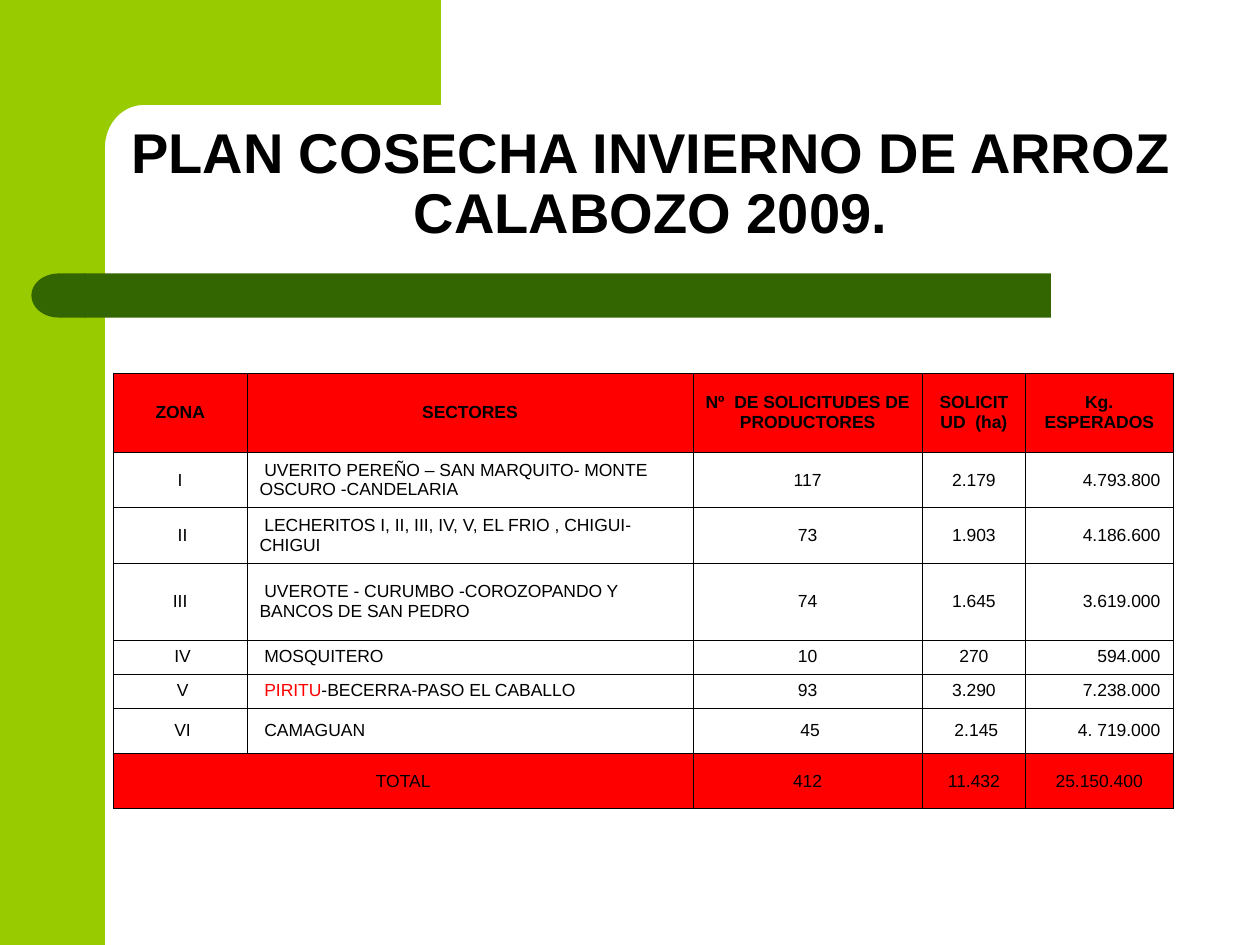
from math import cos, pi, sin

from lxml.etree import SubElement
from pptx import Presentation
from pptx.dml.color import RGBColor
from pptx.enum.shapes import MSO_SHAPE
from pptx.enum.text import MSO_ANCHOR, PP_ALIGN
from pptx.oxml.ns import qn
from pptx.util import Inches, Pt

COLORS = {"lime": "99CC00", "forest": "336600", "red": "FF0000", "ink": "000000"}
FONT = "Arial"
WIDTH, HEIGHT = 10, 7.5
SIDE = WIDTH / 12
BAR_TOP, BAR_H = 2.17, 0.35

COLS = [1.06, 3.54, 1.82, 0.82, 1.17]
ROWS = [0.63, 0.44, 0.44, 0.61, 0.27, 0.27, 0.36, 0.44]
ALIGNS = [PP_ALIGN.CENTER, PP_ALIGN.LEFT, PP_ALIGN.CENTER, PP_ALIGN.CENTER, PP_ALIGN.RIGHT]
# A cell is a string, or a list of (text, color) runs.
CELLS = [
    ["ZONA", "SECTORES", "Nº  DE SOLICITUDES DE PRODUCTORES", "SOLICITUD  (ha)", "Kg. ESPERADOS"],
    ["I", " UVERITO PEREÑO – SAN MARQUITO- MONTE OSCURO -CANDELARIA", "117", "2.179", "4.793.800"],
    [" II", " LECHERITOS I, II, III, IV, V, EL FRIO , CHIGUI-CHIGUI", "73", "1.903", "4.186.600"],
    ["III", " UVEROTE - CURUMBO -COROZOPANDO Y BANCOS DE SAN PEDRO", "74", "1.645", "3.619.000"],
    [" IV", " MOSQUITERO", "10", "270", "594.000"],
    [" V", [(" PIRITU", "red"), ("-BECERRA-PASO EL CABALLO", "ink")], "93", "3.290", "7.238.000"],
    [" VI", " CAMAGUAN", " 45", " 2.145", "4. 719.000"],
    ["TOTAL", "", "412", "11.432", "25.150.400"],
]


def rgb(name):
    return RGBColor.from_string(COLORS[name])


def paint(shape, color):
    shape.shadow.inherit = False
    shape.fill.solid()
    shape.fill.fore_color.rgb = rgb(color)
    shape.line.fill.background()


def add_block(slide, kind, box, color):
    shape = slide.shapes.add_shape(kind, *map(Inches, box))
    paint(shape, color)
    return shape


def add_corner(slide):
    """Top band whose inner corner is cut by a quarter ellipse."""
    left, right, low = 0.5, 3.5, 1.28
    mid_x, mid_y = 1.14, 1.17
    steps = 16
    turns = [pi / 2 * (1 + i / steps) for i in range(steps + 1)]
    arc = [(mid_x + (mid_x - SIDE) * cos(t), mid_y - (mid_y - SIDE) * sin(t)) for t in turns]
    points = [(right, SIDE), *arc, (SIDE, low), (left, low), (left, 0)]
    pen = slide.shapes.build_freeform(Inches(right), 0)
    pen.add_line_segments([(Inches(x), Inches(y)) for x, y in points])
    paint(pen.convert_to_shape(), "lime")


def add_run(para, text, size, color="ink", bold=False):
    run = para.add_run()
    run.text = text
    font = run.font
    font.name, font.size, font.bold = FONT, Pt(size), bold
    font.color.rgb = rgb(color)


def add_title(slide, text):
    frame = slide.shapes.add_textbox(*map(Inches, (0.91, 0.91, 8.51, 1.09))).text_frame
    frame.word_wrap = True
    frame.vertical_anchor = MSO_ANCHOR.BOTTOM
    para = frame.paragraphs[0]
    para.alignment = PP_ALIGN.CENTER
    para.line_spacing = 0.9
    add_run(para, text, 32, bold=True)


def add_edges(cell):
    props = cell._tc.get_or_add_tcPr()
    for i, side in enumerate(("a:lnL", "a:lnR", "a:lnT", "a:lnB")):
        line = props.makeelement(qn(side), {"w": str(Pt(0.45))})
        fill = SubElement(line, qn("a:solidFill"))
        SubElement(fill, qn("a:srgbClr"), val=COLORS["ink"])
        props.insert(i, line)


def fill_cell(cell, value, align, head, band):
    cell.vertical_anchor = MSO_ANCHOR.MIDDLE
    if band:
        cell.fill.solid()
        cell.fill.fore_color.rgb = rgb("red")
    else:
        cell.fill.background()
    add_edges(cell)
    para = cell.text_frame.paragraphs[0]
    para.alignment = align
    runs = [(value, "ink")] if isinstance(value, str) else value
    for text, color in runs:
        if text:
            add_run(para, text, 10, color, head)


def add_grid(slide):
    box = map(Inches, (0.9, 2.96, sum(COLS), sum(ROWS)))
    table = slide.shapes.add_table(len(ROWS), len(COLS), *box).table
    table.first_row = table.horz_banding = False
    for col, width in zip(table.columns, COLS):
        col.width = Inches(width)
    for row, height in zip(table.rows, ROWS):
        row.height = Inches(height)
    last = len(ROWS) - 1
    for r, row in enumerate(CELLS):
        band = r in (0, last)
        for c, value in enumerate(row):
            align = PP_ALIGN.CENTER if band else ALIGNS[c]
            fill_cell(table.cell(r, c), value, align, r == 0, band)
    table.cell(last, 0).merge(table.cell(last, 1))


def main():
    deck = Presentation()
    deck.slide_width, deck.slide_height = Inches(WIDTH), Inches(HEIGHT)
    slide = deck.slides.add_slide(deck.slide_layouts[6])
    add_block(slide, MSO_SHAPE.RECTANGLE, (0, 0, SIDE, HEIGHT), "lime")
    add_corner(slide)
    bar = add_block(slide, MSO_SHAPE.ROUNDED_RECTANGLE, (0.67, BAR_TOP, 7.67, BAR_H), "forest")
    bar.adjustments[0] = 0
    cap = add_block(slide, MSO_SHAPE.FLOWCHART_DELAY, (0.25, BAR_TOP, 0.43, BAR_H), "forest")
    cap._element.spPr.xfrm.set("flipH", "1")
    add_title(slide, "PLAN COSECHA INVIERNO DE ARROZ CALABOZO 2009.")
    add_grid(slide)
    deck.save("out.pptx")


if __name__ == "__main__":
    main()
